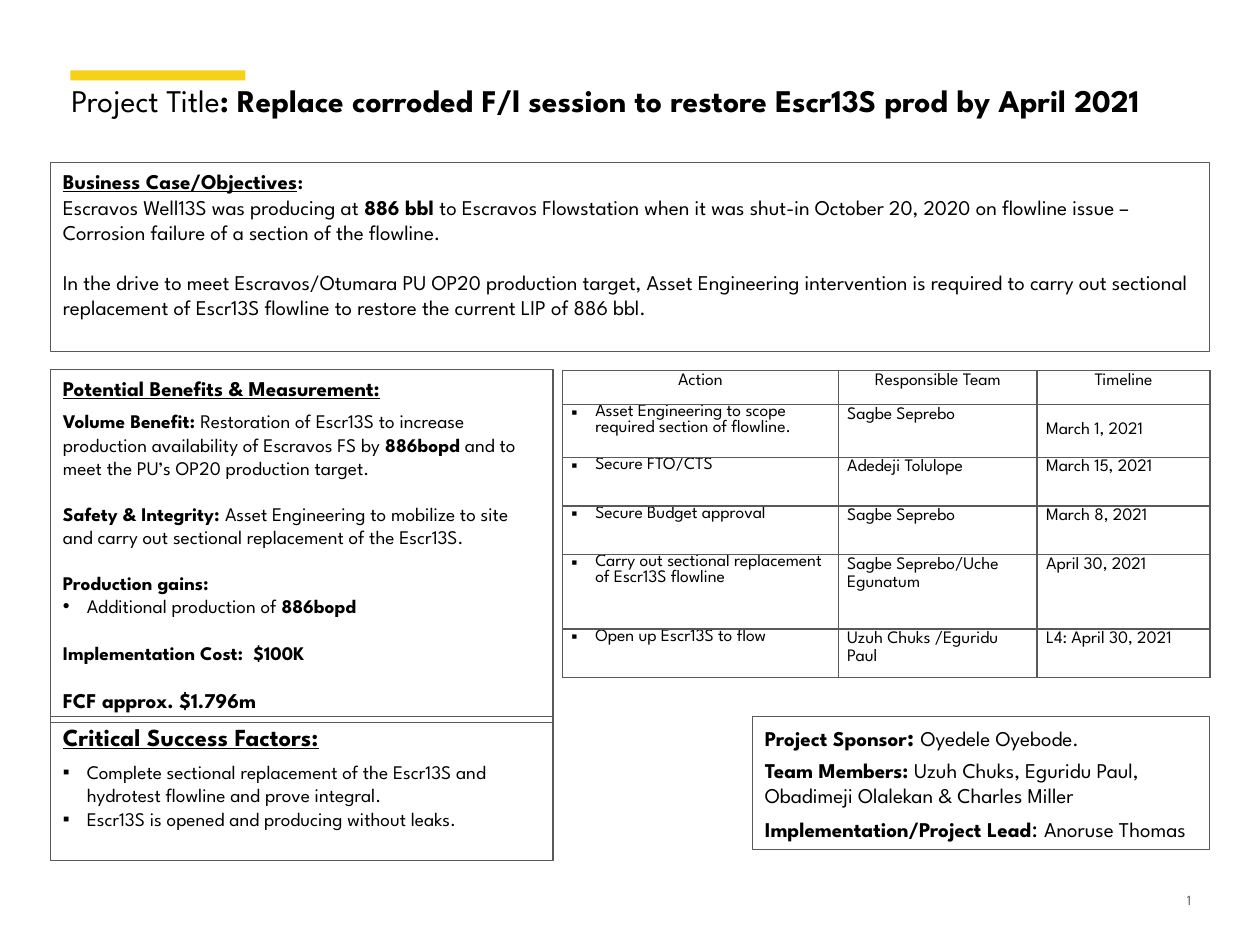
from dataclasses import dataclass
from typing import Optional

from lxml.etree import SubElement as Sub
from pptx import Presentation as Deck
from pptx.dml.color import RGBColor as Rgb
from pptx.enum.shapes import MSO_SHAPE as Kind
from pptx.enum.text import MSO_ANCHOR as Anchor, PP_ALIGN as Align
from pptx.oxml.ns import qn
from pptx.util import Cm, Pt

FONT = "League Spartan"
HUES = {"ink": "000000", "grey": "595959", "gold": "F7D117", "white": "FFFFFF"}
GAP = 13.2  # one empty 11 pt line
WIDE = 14.3  # one empty 12 pt line


@dataclass
class Run:
    text: str
    size: float = 11
    bold: bool = False
    line: bool = False
    hue: str = "ink"


@dataclass
class Para:
    runs: list[Run]
    above: float = 0
    below: float = 0
    mark: str = ""
    align: Align = Align.LEFT
    lead: float = 1.0


@dataclass
class Box:
    left: float
    top: float
    width: float
    height: float
    paras: list[Para]
    fill: Optional[str] = None


def hue(name: str) -> Rgb:
    return Rgb.from_string(HUES[name])


def write(frame, paras: list[Para]) -> None:
    for i, para in enumerate(paras):
        p = frame.paragraphs[0] if i == 0 else frame.add_paragraph()
        p.alignment, p.line_spacing = para.align, para.lead
        p.space_before, p.space_after = Pt(para.above), Pt(para.below)
        if para.mark:
            props = p._p.get_or_add_pPr()
            props.set("marL", str(Cm(0.48)))
            props.set("indent", str(-Cm(0.48)))
            Sub(props, qn("a:buFont"), typeface="Arial")
            Sub(props, qn("a:buChar"), char=para.mark)
        for run in para.runs:
            r = p.add_run()
            r.text = run.text
            font = r.font
            font.name, font.size = FONT, Pt(run.size)
            font.bold, font.underline = run.bold, run.line
            font.color.rgb = hue(run.hue)


def panel(slide, box: Box) -> None:
    shape = slide.shapes.add_shape(
        Kind.RECTANGLE, Cm(box.left), Cm(box.top), Cm(box.width), Cm(box.height))
    shape.shadow.inherit = False
    if box.fill:
        shape.fill.solid()
        shape.fill.fore_color.rgb = hue(box.fill)
    else:
        shape.fill.background()
    if box.paras:
        shape.line.color.rgb = hue("grey")
        shape.line.width = Pt(0.75)
        shape.text_frame.word_wrap = True
        shape.text_frame.vertical_anchor = Anchor.TOP
        write(shape.text_frame, box.paras)
    else:
        shape.line.fill.background()


def label(slide, box: Box) -> None:
    frame = slide.shapes.add_textbox(
        Cm(box.left), Cm(box.top), Cm(box.width), Cm(box.height)).text_frame
    frame.margin_left = frame.margin_right = 0
    frame.margin_top = frame.margin_bottom = 0
    frame.word_wrap = True
    write(frame, box.paras)


def edge(cell) -> None:
    props = cell._tc.get_or_add_tcPr()
    for i, side in enumerate(("lnL", "lnR", "lnT", "lnB")):
        line = props.makeelement(qn(f"a:{side}"), {"w": str(Pt(1))})
        fill = Sub(line, qn("a:solidFill"))
        Sub(fill, qn("a:srgbClr"), val=HUES["grey"])
        props.insert(i, line)


def plan(slide, rows: list[tuple[str, str, str]]) -> None:
    wides = (5.56, 4.01, 3.48)
    highs = (0.69, 1.06, 0.98, 0.98, 1.5, 0.98)
    table = slide.shapes.add_table(
        len(rows), len(wides), Cm(11.34), Cm(7.47),
        Cm(sum(wides)), Cm(sum(highs))).table
    table.first_row = table.horz_banding = False
    for col, wide in zip(table.columns, wides):
        col.width = Cm(wide)
    for i, (row, high) in enumerate(zip(rows, highs)):
        table.rows[i].height = Cm(high)
        for j, text in enumerate(row):
            cell = table.cell(i, j)
            cell.fill.background()
            cell.margin_left = cell.margin_right = Cm(0.18)
            # The first date sits one line lower
            cell.margin_top = Cm(0.3) if (i, j) == (1, 2) else 0
            cell.margin_bottom = 0
            task = i > 0 and j == 0
            write(cell.text_frame, [Para(
                [Run(text, 10)], mark="▪" if task else "",
                align=Align.LEFT if i else Align.CENTER,
                lead=1 if task else 1.15)])
            edge(cell)


CASE = [
    Para([Run("Business Case/Objectives", 12, True, True), Run(":", 11, True)]),
    Para([Run("Escravos Well13S was producing at ", 12), Run("886 bbl ", 12, True),
          Run("to Escravos Flowstation when it was shut-in October 20, 2020 on "
              "flowline issue – Corrosion failure of a section of the flowline.", 12)]),
    Para([Run("In the drive to meet Escravos/Otumara PU OP20 production target, Asset "
              "Engineering intervention is required to carry out sectional replacement "
              "of Escr13S flowline to restore the current LIP of 886 bbl.", 12)],
         above=WIDE),
]
GAINS = [
    Para([Run("Potential Benefits & Measurement:", 12, True, True)], below=5),
    Para([Run("Volume Benefit: ", bold=True),
          Run("Restoration of Escr13S to increase production availability of "
              "Escravos FS by "), Run("886bopd", bold=True),
          Run(" and to meet the PU’s OP20 production target.")]),
    Para([Run("Safety & Integrity: ", bold=True),
          Run("Asset Engineering to mobilize to site and carry out sectional "
              "replacement of the Escr13S.")], above=GAP),
    Para([Run("Production gains:", bold=True)], above=GAP),
    Para([Run("Additional production of "), Run("886bopd", bold=True)], mark="•"),
    Para([Run("Implementation Cost:  $100K", bold=True)], above=GAP),
    Para([Run("FCF approx. $1.796m", 12, True)], above=GAP),
]
KEYS = [
    Para([Run("Critical Success Factors:", 14, True, True)], below=5,
         align=Align.JUSTIFY),
    Para([Run("Complete sectional replacement of the Escr13S and hydrotest flowline "
              "and prove integral.")], mark="▪"),
    Para([Run("Escr13S is opened and producing without leaks.")], mark="▪"),
]
TEAM = [
    Para([Run("Project Sponsor", 12, True), Run(": ", 14, True),
          Run("Oyedele Oyebode.", 12)]),
    Para([Run("Team Members: ", 12, True),
          Run("Uzuh Chuks, Eguridu Paul, Obadimeji Olalekan & Charles Miller", 12)],
         above=3),
    Para([Run("Implementation/Project Lead", 12, True), Run(": ", 14),
          Run("Anoruse Thomas", 12)], above=3),
]
HEAD = [Para([Run("Project Title", 18),
              Run(": Replace corroded F/l session to restore Escr13S prod by April 2021",
                  18, True)])]
PAGE = [Para([Run("1", 8, hue="grey")], align=Align.RIGHT)]
STEPS = [
    ("Action", "Responsible Team", "Timeline"),
    ("Asset Engineering to scope required section of flowline.",
     "Sagbe Seprebo", "March 1, 2021"),
    ("Secure FTO/CTS", "Adedeji Tolulope", "March 15, 2021"),
    ("Secure Budget approval", "Sagbe Seprebo", "March 8, 2021"),
    ("Carry out sectional replacement of Escr13S flowline",
     "Sagbe Seprebo/Uche Egunatum", "April 30, 2021"),
    ("Open up Escr13S to flow", "Uzuh Chuks /Eguridu Paul", "L4: April 30, 2021"),
]
BOXES = [
    Box(1.42, 1.42, 3.53, 0.2, [], "gold"),
    Box(1.02, 3.28, 23.37, 3.81, CASE, "white"),
    Box(1.02, 7.45, 10.13, 7.11, GAINS, "white"),
    Box(1.02, 14.44, 10.13, 2.91, KEYS),
    Box(15.17, 14.44, 9.22, 2.69, TEAM),
]


def main() -> None:
    deck = Deck()
    deck.slide_width, deck.slide_height = Cm(25.4), Cm(19.05)
    slide = deck.slides.add_slide(deck.slide_layouts[6])
    # Accent bar and text panels
    for box in BOXES:
        panel(slide, box)
    # Action plan
    plan(slide, STEPS)
    # Page number and title
    label(slide, Box(23.27, 17.98, 0.74, 0.66, PAGE))
    label(slide, Box(1.44, 1.63, 22.53, 1.5, HEAD))
    deck.save("out.pptx")


if __name__ == "__main__":
    main()
